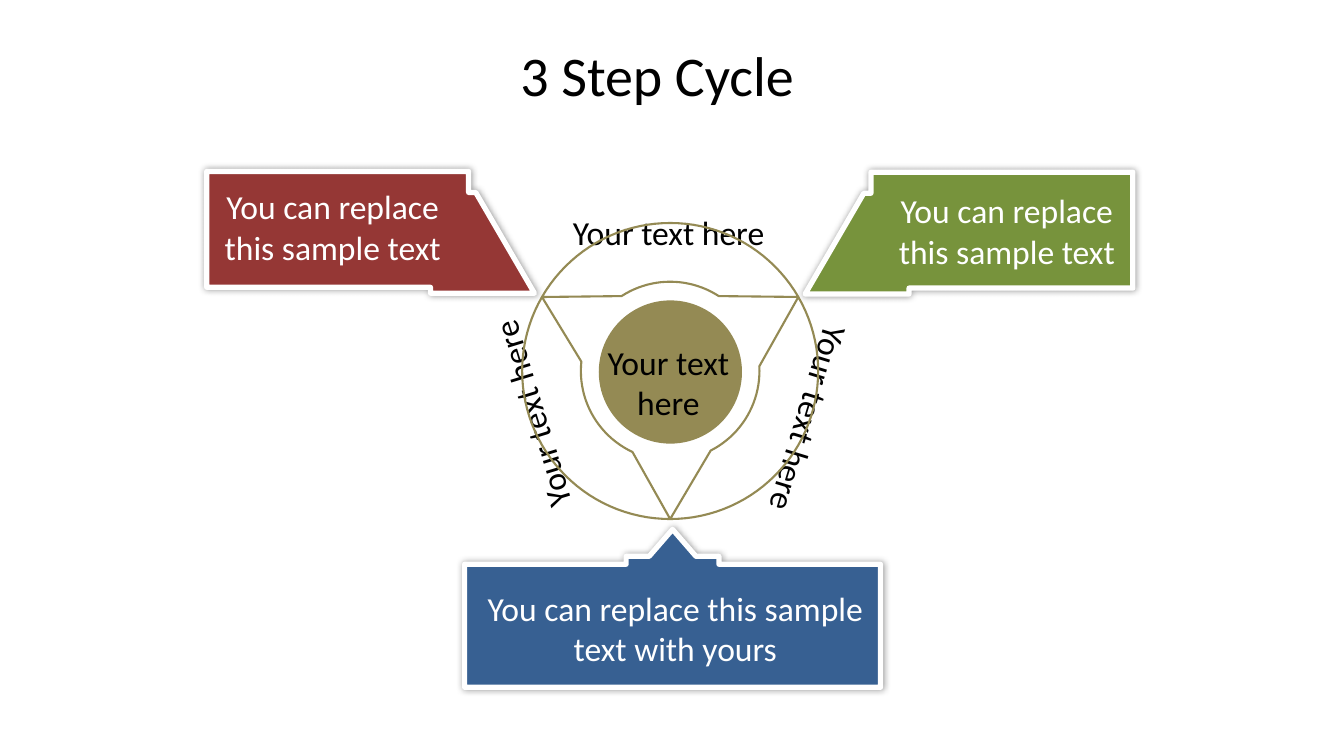
"""Build a three step cycle slide with callouts around a ring."""
import dataclasses
import math

import lxml.etree
import pptx
import pptx.dml.color
import pptx.enum.shapes
import pptx.enum.text
import pptx.oxml.ns
import pptx.util

Point = tuple[float, float]

FONT = "Calibri"
BLACK, WHITE, OLIVE = "000000", "FFFFFF", "948A54"
RING_CENTER: Point = (16.89, 9.35)
OUTER_RADIUS, INNER_RADIUS = 3.73, 2.25
TIP_ANGLES = (90, 210, 330)
INNER_ARCS = ((-3, 63), (115, 186), (237, 303))
SIDE_PROFILE: list[Point] = [
    (0, 0), (6.6, 0), (6.6, 0.53), (6.78, 0.53),
    (8.26, 3.07), (5.64, 3.07), (5.64, 2.92), (0, 2.92),
]
BOTTOM_HALF: list[Point] = [
    (0, 0), (0.59, 0.68), (1.17, 0.68), (1.17, 0.88), (5.24, 0.88), (5.24, 3.98),
]


@dataclasses.dataclass(frozen=True)
class Label:
    """Text with its box in centimetres."""
    text: str
    left: float
    top: float
    width: float
    height: float = 2.31
    color: str = BLACK
    size: int = 24
    rotation: float = 0
    middle: bool = False


@dataclasses.dataclass(frozen=True)
class Callout:
    """Outline placed at an origin, with its fill and label."""
    profile: list[Point]
    origin: Point
    direction: int
    color: str
    label: Label


BOTTOM_PROFILE = BOTTOM_HALF + [(-x, y) for x, y in reversed(BOTTOM_HALF[1:])]
SIDE_TEXT = "You can replace this sample text"
RING_TEXT = "Your text here"
CALLOUTS = [
    Callout(SIDE_PROFILE, (28.55, 4.34), -1, "77933C",
            Label(SIDE_TEXT, 22.1, 4.67, 6.55, color=WHITE)),
    Callout(SIDE_PROFILE, (5.21, 4.32), 1, "953735",
            Label(SIDE_TEXT, 5.11, 4.57, 6.55, color=WHITE)),
    Callout(BOTTOM_PROFILE, (16.95, 13.34), 1, "376092",
            Label("You can replace this sample text with yours",
                  11.76, 14.68, 10.52, color=WHITE)),
]
TITLE = Label("3 Step Cycle", 5.51, 0.76, 22.1, 2.21, size=40, middle=True)
RING_LABELS = [
    Label(RING_TEXT, 15.04, 8.48, 3.61),
    Label(RING_TEXT, 12.62, 5.21, 8.46, 8.46),
    Label(RING_TEXT, 12.6, 5.16, 8.46, 8.46, rotation=253),
    Label(RING_TEXT, 12.73, 5.28, 8.46, 8.46, rotation=107),
]


def rgb(color: str) -> pptx.dml.color.RGBColor:
    """Turn a hex string into a colour."""
    return pptx.dml.color.RGBColor.from_string(color)


def add_label(slide, label: Label) -> None:
    """Draw one centred label."""
    box = slide.shapes.add_textbox(*map(
        pptx.util.Cm, (label.left, label.top, label.width, label.height)))
    box.rotation = label.rotation
    frame = box.text_frame
    frame.word_wrap = True
    anchors = pptx.enum.text.MSO_ANCHOR
    frame.vertical_anchor = anchors.MIDDLE if label.middle else anchors.TOP
    paragraph = frame.paragraphs[0]
    paragraph.alignment = pptx.enum.text.PP_ALIGN.CENTER
    run = paragraph.add_run()
    run.text = label.text
    run.font.name = FONT
    run.font.size = pptx.util.Pt(label.size)
    run.font.color.rgb = rgb(label.color)


def add_outline(slide, points: list[Point], color: str, width: float):
    """Draw a closed outline through points given in centimetres."""
    corners = [(pptx.util.Cm(x), pptx.util.Cm(y)) for x, y in points]
    builder = slide.shapes.build_freeform(*corners[0])
    builder.add_line_segments(corners[1:], close=True)
    shape = builder.convert_to_shape()
    shape.shadow.inherit = False
    shape.line.color.rgb = rgb(color)
    shape.line.width = pptx.util.Pt(width)
    return shape


def add_glow_shadow(shape) -> None:
    """Give a shape a soft black shadow on all sides."""
    name = pptx.oxml.ns.qn
    effects = shape.element.spPr.find(name("a:effectLst"))
    shadow = lxml.etree.SubElement(
        effects, name("a:outerShdw"), blurRad=str(pptx.util.Pt(5)),
        dist="0", dir="0", algn="ctr", rotWithShape="0")
    color = lxml.etree.SubElement(shadow, name("a:srgbClr"), val=BLACK)
    lxml.etree.SubElement(color, name("a:alpha"), val="40000")


def add_callout(slide, callout: Callout) -> None:
    """Draw a callout with its label."""
    left, top = callout.origin
    points = [(left + callout.direction * x, top + y) for x, y in callout.profile]
    shape = add_outline(slide, points, WHITE, 3.75)
    shape.fill.solid()
    shape.fill.fore_color.rgb = rgb(callout.color)
    add_glow_shadow(shape)
    add_label(slide, callout.label)


def arc(radius: float, start: int, end: int) -> list[Point]:
    """Return points on a circle about the ring centre, clockwise from east."""
    steps = max(1, abs(end - start) // 3)
    angles = [math.radians(start + (end - start) * i / steps) for i in range(steps + 1)]
    return [(RING_CENTER[0] + radius * math.cos(angle),
             RING_CENTER[1] + radius * math.sin(angle)) for angle in angles]


def add_core(slide) -> None:
    """Draw the disc in the middle of the ring."""
    core = slide.shapes.add_shape(
        pptx.enum.shapes.MSO_SHAPE.OVAL,
        *map(pptx.util.Cm, (15.09, 7.57, 3.61, 3.61)))
    core.shadow.inherit = False
    core.fill.solid()
    core.fill.fore_color.rgb = rgb(OLIVE)
    core.line.fill.background()


def add_ring(slide) -> None:
    """Draw the ring of three segments that meet at the tips."""
    points: list[Point] = []
    for (start, end), tip in zip(INNER_ARCS, TIP_ANGLES):
        points += arc(INNER_RADIUS, start, end) + arc(OUTER_RADIUS, tip, tip)[:1]
    points += arc(OUTER_RADIUS, 330, -30)
    add_outline(slide, points, OLIVE, 1.5).fill.background()


def main() -> None:
    """Build and save the slide."""
    presentation = pptx.Presentation()
    presentation.slide_width = pptx.util.Cm(33.87)
    presentation.slide_height = pptx.util.Cm(19.05)
    slide = presentation.slides.add_slide(presentation.slide_layouts[6])
    add_label(slide, TITLE)
    for callout in CALLOUTS:
        add_callout(slide, callout)
    add_core(slide)
    for label in RING_LABELS:
        add_label(slide, label)
    add_ring(slide)
    presentation.save("out.pptx")


if __name__ == "__main__":
    main()
